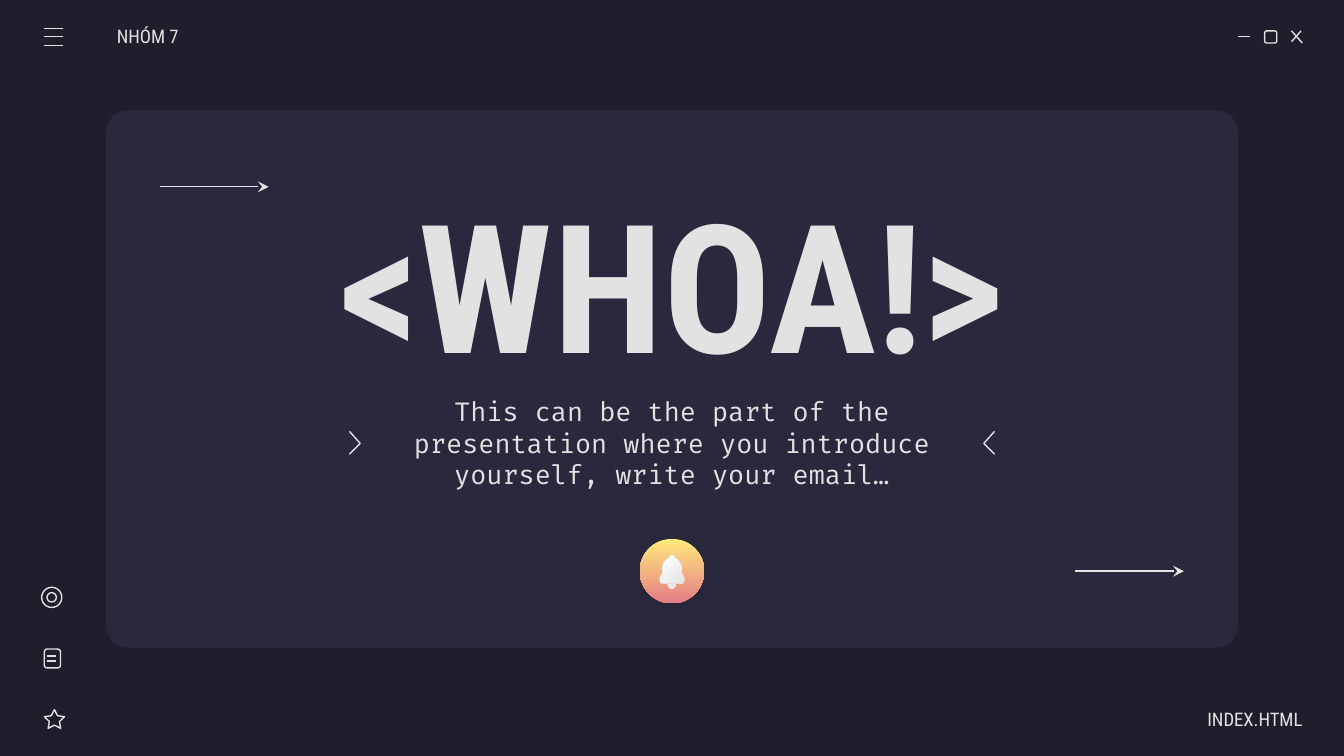
from typing import NamedTuple, Optional

from lxml import etree
from pptx import Presentation
from pptx.dml.color import RGBColor
from pptx.enum.shapes import MSO_CONNECTOR, MSO_SHAPE
from pptx.enum.text import MSO_ANCHOR, PP_ALIGN
from pptx.oxml import parse_xml
from pptx.oxml.ns import nsdecls, qn
from pptx.util import Inches, Pt

STRAIGHT = MSO_CONNECTOR.STRAIGHT
ROUNDED = MSO_SHAPE.ROUNDED_RECTANGLE
OVAL = MSO_SHAPE.OVAL
STAR = MSO_SHAPE.STAR_5_POINT
MIDDLE = MSO_ANCHOR.MIDDLE
LEFT, CENTER, RIGHT = PP_ALIGN.LEFT, PP_ALIGN.CENTER, PP_ALIGN.RIGHT

COLORS = {
    "background": "1E1E2C",
    "panel": "29283D",
    "light": "E2E2E2",
    "white": "FFFFFF",
    "yellow": "FFEA7D",
    "coral": "E57C85",
}
SLIDE_WIDTH = Inches(10)
SLIDE_HEIGHT = SLIDE_WIDTH * 9 // 16
LINE_WIDTH = Pt(0.75)
CURVE_STEPS = 8
BELL_AXIS = 5

Point = tuple[float, float]


class Stroke(NamedTuple):
    start: Point
    end: Point
    arrow: bool = False


class Icon(NamedTuple):
    kind: int
    left: float
    top: float
    width: float
    height: float
    adjustment: Optional[float] = None


class Label(NamedTuple):
    text: str
    left: float
    top: float
    width: float
    height: float
    font: str
    size: float
    align: int
    bold: bool = False
    inset_left: float = 0.1
    inset_right: float = 0.1


def color(name: str) -> RGBColor:
    return RGBColor.from_string(COLORS[name])


def outline(shape) -> None:
    shape.line.color.rgb = color("light")
    shape.line.width = LINE_WIDTH


def draw_stroke(shapes, stroke: Stroke) -> None:
    ends = [Inches(value) for value in stroke.start + stroke.end]
    connector = shapes.add_connector(STRAIGHT, *ends)
    outline(connector)
    if stroke.arrow:
        etree.SubElement(connector.line._get_or_add_ln(), qn("a:tailEnd"), type="stealth")
    etree.SubElement(connector._element.spPr, qn("a:effectLst"))


def draw_icon(shapes, icon: Icon):
    frame = [Inches(value) for value in icon[1:5]]
    shape = shapes.add_shape(icon.kind, *frame)
    shape.shadow.inherit = False
    if icon.adjustment is not None:
        shape.adjustments[0] = icon.adjustment
    shape.fill.background()
    outline(shape)
    return shape


def draw_label(shapes, label: Label) -> None:
    frame = [Inches(value) for value in label[1:5]]
    text_frame = shapes.add_textbox(*frame).text_frame
    text_frame.word_wrap = True
    text_frame.vertical_anchor = MIDDLE
    text_frame.margin_left = Inches(label.inset_left)
    text_frame.margin_right = Inches(label.inset_right)
    text_frame.margin_top = text_frame.margin_bottom = Inches(0.1)
    paragraph = text_frame.paragraphs[0]
    paragraph.alignment = label.align
    run = paragraph.add_run()
    run.text = label.text
    run.font.name = label.font
    run.font.size = Pt(label.size)
    run.font.bold = label.bold
    run.font.color.rgb = color("light")


def draw_outline(shapes, contours: list[list[Point]], close: bool):
    scaled = [[(Inches(x), Inches(y)) for x, y in contour] for contour in contours]
    builder = shapes.build_freeform(*scaled[0][0])
    for index, contour in enumerate(scaled):
        if index:
            builder.move_to(*contour[0])
        builder.add_line_segments(contour[1:], close=close)
    shape = builder.convert_to_shape()
    shape.shadow.inherit = False
    return shape


def draw_chevron(shapes, back: float, tip: float) -> None:
    chevron = draw_outline(shapes, [[(back, 3.21), (tip, 3.3), (back, 3.38)]], False)
    chevron.fill.background()
    outline(chevron)


def fill_gradient(shape, first: str, last: str, angle: float) -> None:
    shape.line.fill.background()
    shape.fill.gradient()
    shape.fill.gradient_angle = angle
    for stop, name, position in zip(shape.fill.gradient_stops, (first, last), (0, 1)):
        stop.color.rgb = color(name)
        stop.position = position


def curve(*controls: Point) -> list[Point]:
    points = []
    for step in range(CURVE_STEPS + 1):
        t = step / CURVE_STEPS
        weights = ((1 - t) ** 3, 3 * t * (1 - t) ** 2, 3 * t * t * (1 - t), t ** 3)
        points.append(tuple(
            sum(w * control[axis] for w, control in zip(weights, controls)) for axis in (0, 1)
        ))
    return points


def mirrored(half: list[Point]) -> list[Point]:
    return half + [(2 * BELL_AXIS - x, y) for x, y in reversed(half)]


def draw_bell_button(shapes) -> None:
    button = draw_icon(shapes, Icon(OVAL, 4.76, 4.01, 0.48, 0.48))
    fill_gradient(button, "yellow", "coral", 270)
    button._element.spPr.find(qn("a:effectLst")).append(parse_xml(
        f'<a:outerShdw {nsdecls("a")} blurRad="{Pt(4.5)}" dist="{Pt(1.5)}" dir="5400000" '
        f'algn="bl" rotWithShape="0"><a:srgbClr val="{COLORS["background"]}">'
        '<a:alpha val="30000"/></a:srgbClr></a:outerShdw>'
    ))
    body = (
        curve((5, 4.13), (5.01, 4.13), (5.02, 4.14), (5.02, 4.15))
        + curve((5.02, 4.15), (5.04, 4.16), (5.07, 4.19), (5.07, 4.22))
        + curve((5.07, 4.27), (5.08, 4.28), (5.09, 4.29), (5.09, 4.31))
        + curve((5.09, 4.32), (5.09, 4.33), (5.08, 4.34), (5.08, 4.34))
    )
    clapper = curve((5.03, 4.35), (5.03, 4.36), (5.02, 4.38), (5, 4.38))
    bell = draw_outline(shapes, [mirrored(body), mirrored(clapper)], True)
    fill_gradient(bell, "white", "light", 315)


WINDOW_STROKES = [
    Stroke((9.21, 0.27), (9.3, 0.27)),
    Stroke((9.61, 0.23), (9.69, 0.32)),
    Stroke((9.68, 0.23), (9.61, 0.31)),
]
MENU_STROKES = [Stroke((0.33, y), (0.47, y)) for y in (0.21, 0.27, 0.34)]
NOTE_STROKES = [Stroke((0.35, y), (0.42, y)) for y in (4.88, 4.92)]
ARROWS = [Stroke((x, y), (x + 0.81, y), True) for x, y in ((1.19, 1.39), (8, 4.25))]
ICONS = [
    Icon(ROUNDED, 9.41, 0.23, 0.09, 0.09, 0.17),
    Icon(STAR, 0.33, 5.28, 0.15, 0.14, 0.25),
    Icon(ROUNDED, 0.33, 4.83, 0.12, 0.14, 0.17),
    Icon(OVAL, 0.31, 4.37, 0.15, 0.15),
    Icon(OVAL, 0.35, 4.41, 0.07, 0.07),
]
LABELS = [
    Label("NHÓM 7", 0.87, 0.12, 1.17, 0.3, "Roboto Condensed", 10, LEFT, inset_left=0),
    Label("INDEX.HTML", 8.52, 5.2, 1.17, 0.3, "Roboto Condensed", 10, RIGHT, inset_right=0),
    Label("<WHOA!>", 1.96, 1.39, 6.08, 1.42, "Roboto Condensed", 96, CENTER, bold=True),
    Label(
        "This can be the part of the presentation where you introduce yourself, "
        "write your email…",
        2.68, 2.81, 4.64, 0.97, "Fira Code", 14, CENTER,
    ),
]


def main() -> None:
    presentation = Presentation()
    presentation.slide_width = SLIDE_WIDTH
    presentation.slide_height = SLIDE_HEIGHT
    slide = presentation.slides.add_slide(presentation.slide_layouts[6])
    slide.background.fill.solid()
    slide.background.fill.fore_color.rgb = color("background")
    shapes = slide.shapes

    panel = draw_icon(shapes, Icon(ROUNDED, 0.79, 0.82, 8.42, 4, 0.04))
    panel.fill.solid()
    panel.fill.fore_color.rgb = color("panel")
    panel.line.fill.background()

    for icon in ICONS:
        draw_icon(shapes, icon)
    for stroke in WINDOW_STROKES + MENU_STROKES + NOTE_STROKES + ARROWS:
        draw_stroke(shapes, stroke)
    for label in LABELS:
        draw_label(shapes, label)
    for back, tip in ((2.6, 2.68), (7.4, 7.32)):
        draw_chevron(shapes, back, tip)
    draw_bell_button(shapes)
    presentation.save("out.pptx")


if __name__ == "__main__":
    main()
